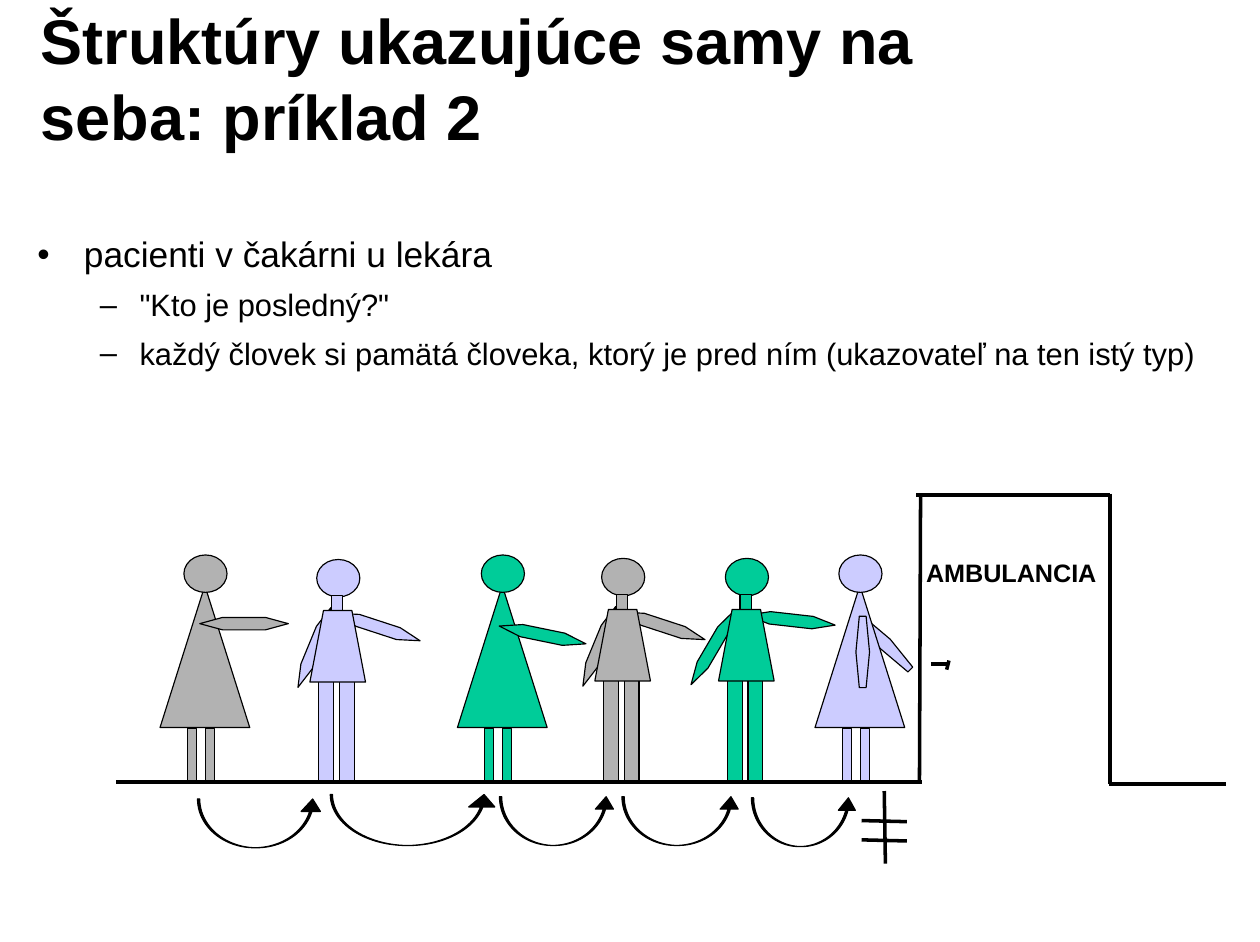
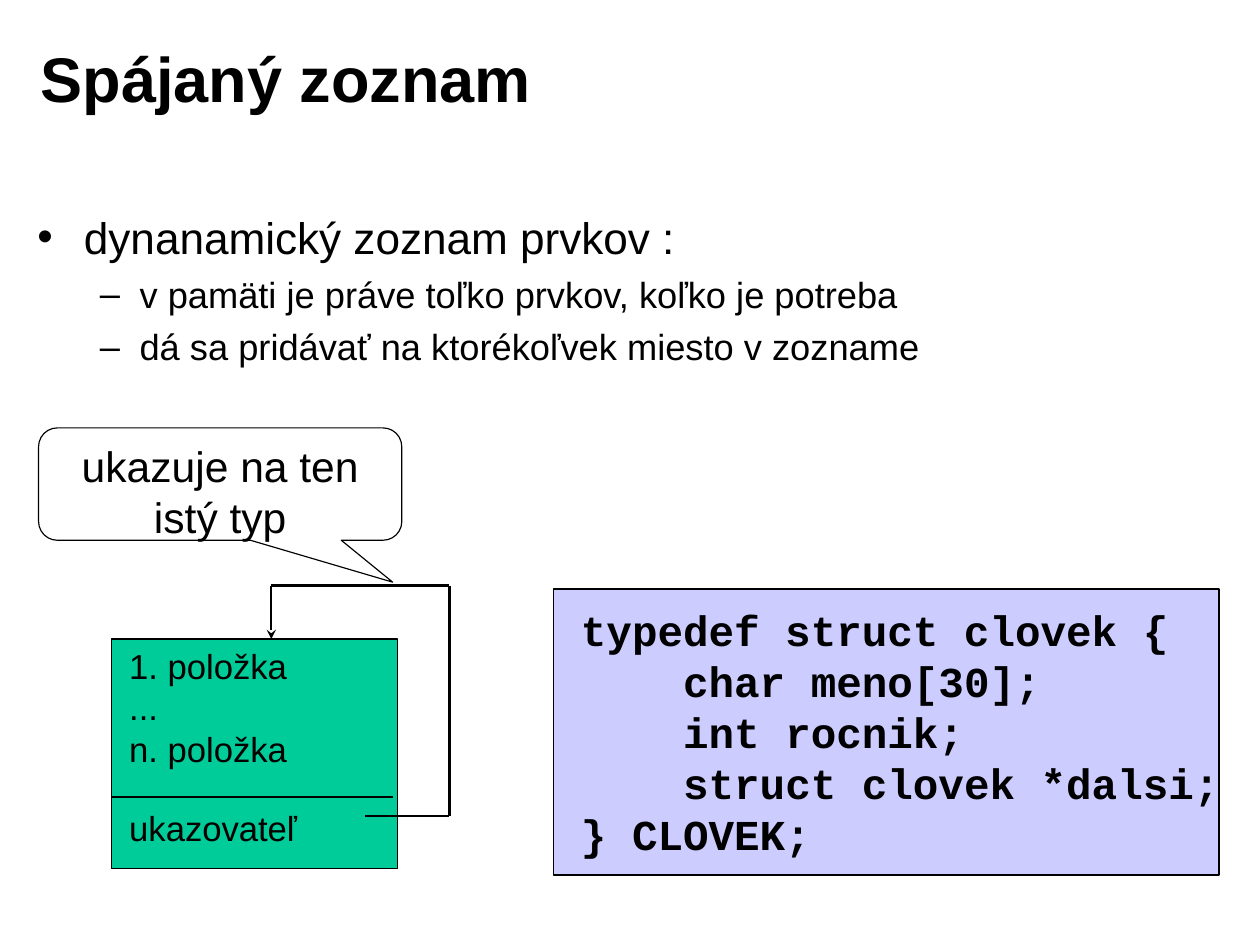
from lxml import etree
from pptx import Presentation, util as u
from pptx.dml.color import RGBColor
from pptx.enum import shapes, text
from pptx.oxml.ns import qn

PX = 9144  # EMU in one px, 100 px to the inch
BLACK, WHITE = "000000", "FFFFFF"
GRAY, GREEN, LILAC = "B2B2B2", "00CC99", "CCCCFF"
SANS, MONO = "Arial", "Courier New"
GROUND = 688
SHAPE = shapes.MSO_SHAPE


def px(*lengths):
    return [round(length * PX) for length in lengths]


def color(hex_string):
    return RGBColor.from_string(hex_string)


def paint(shape, fill):
    shape.shadow.inherit = False
    shape.fill.solid()
    shape.fill.fore_color.rgb = color(fill)
    shape.line.color.rgb = color(BLACK)
    shape.line.width = u.Pt(0.75)
    return shape


def add_preset(slide, preset, box, fill, rotation=0, adjustments=()):
    shape = paint(slide.shapes.add_shape(preset, *px(*box)), fill)
    shape.rotation = rotation
    for index, value in enumerate(adjustments):
        shape.adjustments[index] = value
    return shape


def add_polygon(slide, points, fill):
    start, *others = [px(*point) for point in points]
    builder = slide.shapes.build_freeform(*start, scale=1.0)
    builder.add_line_segments(others, close=True)
    return paint(builder.convert_to_shape(), fill)


def add_line(slide, start, end, width, arrow=False):
    line = slide.shapes.add_connector(
        shapes.MSO_CONNECTOR.STRAIGHT, *px(*start, *end))
    line.line.color.rgb = color(BLACK)
    line.line.width = u.Pt(width)
    properties = line._element.spPr
    if arrow:
        etree.SubElement(properties.find(qn("a:ln")), qn("a:tailEnd"), type="stealth")
    etree.SubElement(properties, qn("a:effectLst"))


def set_frame(shape, margins=(10, 5), anchor=text.MSO_ANCHOR.TOP, wrap=True):
    frame = shape.text_frame
    frame.word_wrap = wrap
    frame.vertical_anchor = anchor
    frame.margin_left = frame.margin_right = px(margins[0])[0]
    frame.margin_top = frame.margin_bottom = px(margins[1])[0]
    return frame


def next_paragraph(frame):
    first = frame.paragraphs[0]
    return frame.add_paragraph() if first.runs else first


def add_run(paragraph, content, size, bold=False, font=SANS):
    run = paragraph.add_run()
    run.text = content
    run.font.size = u.Pt(size)
    run.font.name = font
    run.font.bold = bold
    run.font.color.rgb = color(BLACK)


def set_indent(paragraph, left, first=0):
    properties = paragraph._p.get_or_add_pPr()
    properties.set("marL", str(left * PX))
    properties.set("indent", str(first * PX))
    return properties


def add_text(slide, box, lines, size, bold=False, font=SANS, centered=False, **frame_options):
    """Add a text box; each line is a string or an (indent, string) pair."""
    frame = set_frame(slide.shapes.add_textbox(*px(*box)), **frame_options)
    for line in lines:
        indent, content = (0, line) if isinstance(line, str) else line
        paragraph = next_paragraph(frame)
        if indent:
            set_indent(paragraph, indent)
        if centered:
            paragraph.alignment = text.PP_ALIGN.CENTER
        add_run(paragraph, content, size, bold, font)


def add_bullets(slide, box, items, sizes, spacing):
    """Add (level, content) items; sizes and spacing are given per level."""
    frame = set_frame(slide.shapes.add_textbox(*px(*box)), margins=(11, 6))
    for level, content in items:
        paragraph = next_paragraph(frame)
        paragraph.level = level
        paragraph.space_before = u.Pt(spacing[level])
        properties = set_indent(paragraph, *((41, -41), (90, -35))[level])
        bullet_color = etree.SubElement(properties, qn("a:buClr"))
        etree.SubElement(bullet_color, qn("a:srgbClr"), val=BLACK)
        etree.SubElement(properties, qn("a:buFont"), typeface=SANS)
        etree.SubElement(properties, qn("a:buChar"), char="•–"[level])
        add_run(paragraph, content, sizes[level])


def add_titled_slide(presentation, title):
    slide = presentation.slides.add_slide(presentation.slide_layouts[6])
    slide.background.fill.solid()
    slide.background.fill.fore_color.rgb = color(WHITE)
    add_text(slide, (25, 17, 892, 102), [title], 40, bold=True,
             margins=(11, 6), anchor=text.MSO_ANCHOR.MIDDLE)
    return slide


def add_arm(slide, left, top, fill, rotation=0, length=78):
    add_preset(slide, SHAPE.HEXAGON, (left, top, length, 11), fill, rotation, [1.83])


def add_lowered_arm(slide, left, top, fill, rotation=0):
    add_preset(slide, SHAPE.HEXAGON, (left, top, 12, 63), fill, rotation, [0.25])


def add_head(slide, left, top, fill):
    add_preset(slide, SHAPE.OVAL, (left, top, 38, 33), fill)


def add_legs(slide, lefts, top, width, fill):
    for left in lefts:
        add_preset(slide, SHAPE.RECTANGLE, (left, top, width, GROUND - top), fill)


def add_woman(slide, left, fill):
    add_preset(slide, SHAPE.ISOSCELES_TRIANGLE, (left, 516, 79, 125), fill)
    add_head(slide, left + 21, 489, fill)
    add_legs(slide, (left + 24, left + 40), 642, 8, fill)


def add_man(slide, left, top, fill, back_arm, front_arm):
    """Draw a man whose shirt starts at left, top; arms are (dx, dy, rotation)."""
    for (dx, dy, rotation), length in ((back_arm, 76), (front_arm, 78)):
        add_arm(slide, left + dx, top + dy, fill, rotation, length)
    add_head(slide, left + 6, top - 45, fill)
    add_legs(slide, (left + 8, left + 26), top + 55, 13, fill)
    add_preset(slide, SHAPE.RECTANGLE, (left + 19, top - 13, 10, 14), fill)
    add_polygon(slide, [(left, top + 63), (left + 12, top), (left + 37, top),
                        (left + 49, top + 63)], fill)


def add_hanging_arrow(slide, left, top, width, height, head_width):
    shaft, head_length = 2, 11
    add_preset(slide, SHAPE.CURVED_UP_ARROW, (left, top, width, height), BLACK,
               adjustments=[part / height for part in (shaft, head_width, head_length)])


def add_waiting_room(slide):
    for start, end in (
            ((810, 689), (811, 435)), ((807, 436), (978, 436)),
            ((978, 435), (978, 691)), ((812, 689), (102, 689)),
            ((977, 691), (1080, 691)), ((820, 585), (836, 585)),
            ((836, 582), (834, 590)),
            ((779, 697), (780, 761)), ((759, 723), (799, 724)),
            ((759, 740), (799, 741))):
        add_line(slide, start, end, 2.25)
    add_text(slide, (806, 486, 170, 37), ["AMBULANCIA"], 16, bold=True,
             centered=True, wrap=False)


def build_queue_slide(presentation):
    slide = add_titled_slide(presentation, "Štruktúry ukazujúce samy na seba: príklad 2")
    add_bullets(slide, (22, 199, 1066, 151), [
        (0, "pacienti v čakárni u lekára"),
        (1, "\"Kto je posledný?\""),
        (1, "každý človek si pamätá človeka, ktorý je pred ním (ukazovateľ na ten istý typ)"),
    ], sizes=(22.4, 19.6), spacing=(8, 7))

    add_woman(slide, 141, GRAY)
    add_arm(slide, 176, 544, GRAY)
    add_woman(slide, 403, GREEN)
    add_arm(slide, 439, 554, GREEN, 11.6)
    add_lowered_arm(slide, 774, 536, LILAC, 315.6)
    add_woman(slide, 718, LILAC)
    add_lowered_arm(slide, 754, 543, LILAC)

    add_man(slide, 273, 538, LILAC, (-34, 27, 292.4), (21, 9, 18.1))
    add_man(slide, 633, 537, GREEN, (-43, 28, 300.4), (25, 4, 6.4))
    add_man(slide, 524, 537, GRAY, (-34, 27, 292.4), (21, 9, 18.1))

    add_waiting_room(slide)
    for arrow in ((174, 704, 110, 43, 17), (291, 700, 147, 45, 23),
                  (440, 702, 102, 43, 16), (548, 702, 104, 43, 16),
                  (662, 703, 93, 43, 15)):
        add_hanging_arrow(slide, *arrow)


def build_list_slide(presentation):
    slide = add_titled_slide(presentation, "Spájaný zoznam")
    add_bullets(slide, (22, 179, 1066, 209), [
        (0, "dynanamický zoznam prvkov :"),
        (1, "v pamäti je práve toľko prvkov, koľko je potreba"),
        (1, "dá sa pridávať na ktorékoľvek miesto v zozname"),
    ], sizes=(28, 23), spacing=(7, 5.8))

    add_preset(slide, SHAPE.RECTANGLE, (488, 519, 586, 252), LILAC)
    code_indent = 90
    add_text(slide, (502, 527, 600, 235), [
        "typedef struct clovek {",
        (code_indent, "char meno[30];"),
        (code_indent, "int rocnik;"),
        (code_indent, "struct clovek *dalsi;"),
        "} CLOVEK;",
    ], 27, bold=True, font=MONO)

    add_preset(slide, SHAPE.RECTANGLE, (98, 563, 252, 202), GREEN)
    add_line(slide, (98, 702), (346, 702), 1.5)
    add_text(slide, (104, 706, 177, 47), ["ukazovateľ"], 22)
    add_text(slide, (104, 563, 171, 120), ["1. položka", "...", "n. položka"], 22)

    loop = [(322, 719), (396, 719), (396, 516), (239, 516), (239, 563)]
    for start, end in zip(loop, loop[1:]):
        add_line(slide, start, end, 1.5, arrow=end == loop[-1])

    callout = add_preset(slide, SHAPE.ROUNDED_RECTANGULAR_CALLOUT, (34, 377, 320, 99),
                         WHITE, adjustments=(0.475, 0.873, 0.167))
    paragraph = set_frame(callout, margins=(11, 6)).paragraphs[0]
    paragraph.alignment = text.PP_ALIGN.CENTER
    add_run(paragraph, "ukazuje na ten istý typ", 27)


def main():
    presentation = Presentation()
    presentation.slide_width, presentation.slide_height = px(1110, 830)
    build_queue_slide(presentation)
    build_list_slide(presentation)
    presentation.save("out.pptx")


if __name__ == "__main__":
    main()
